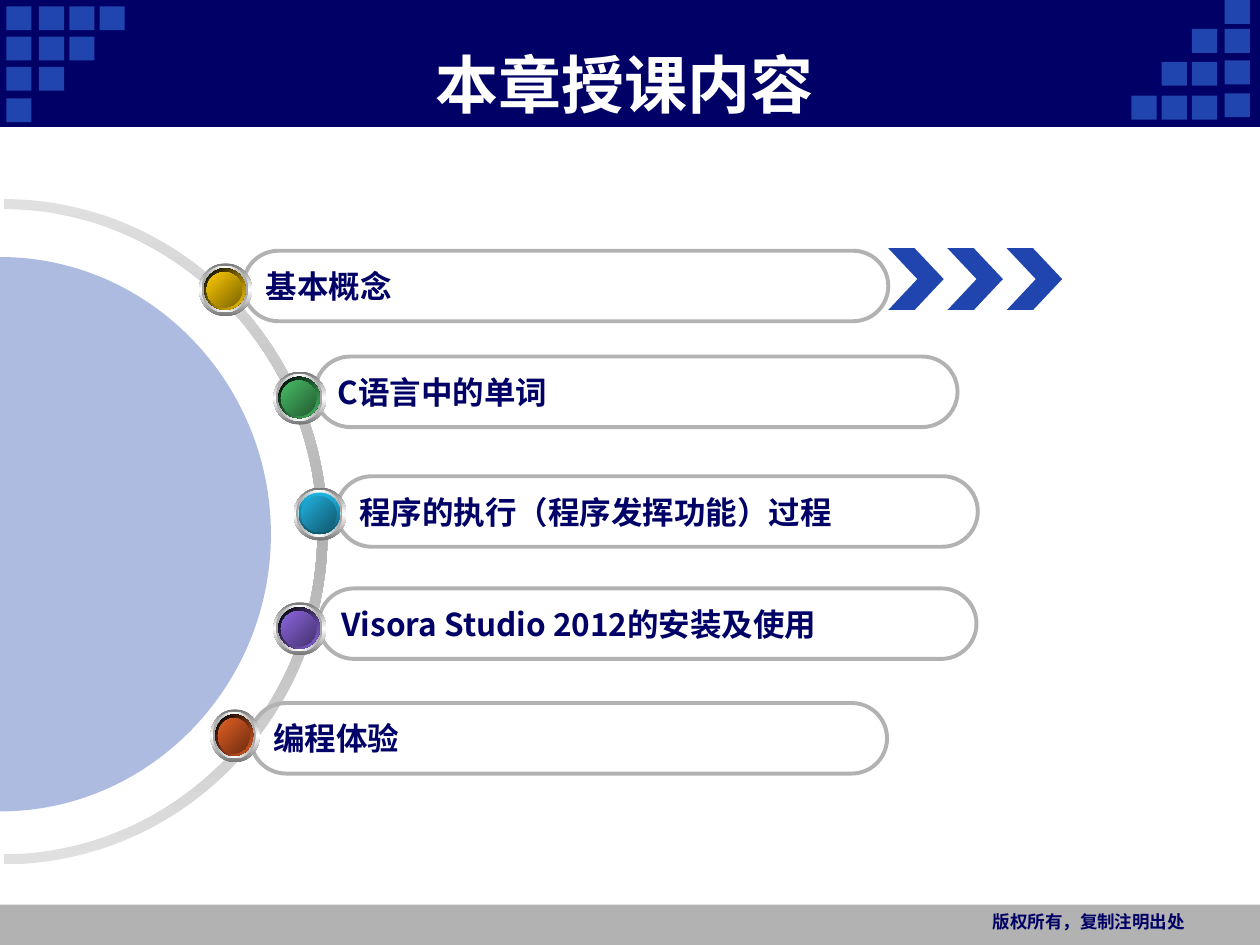
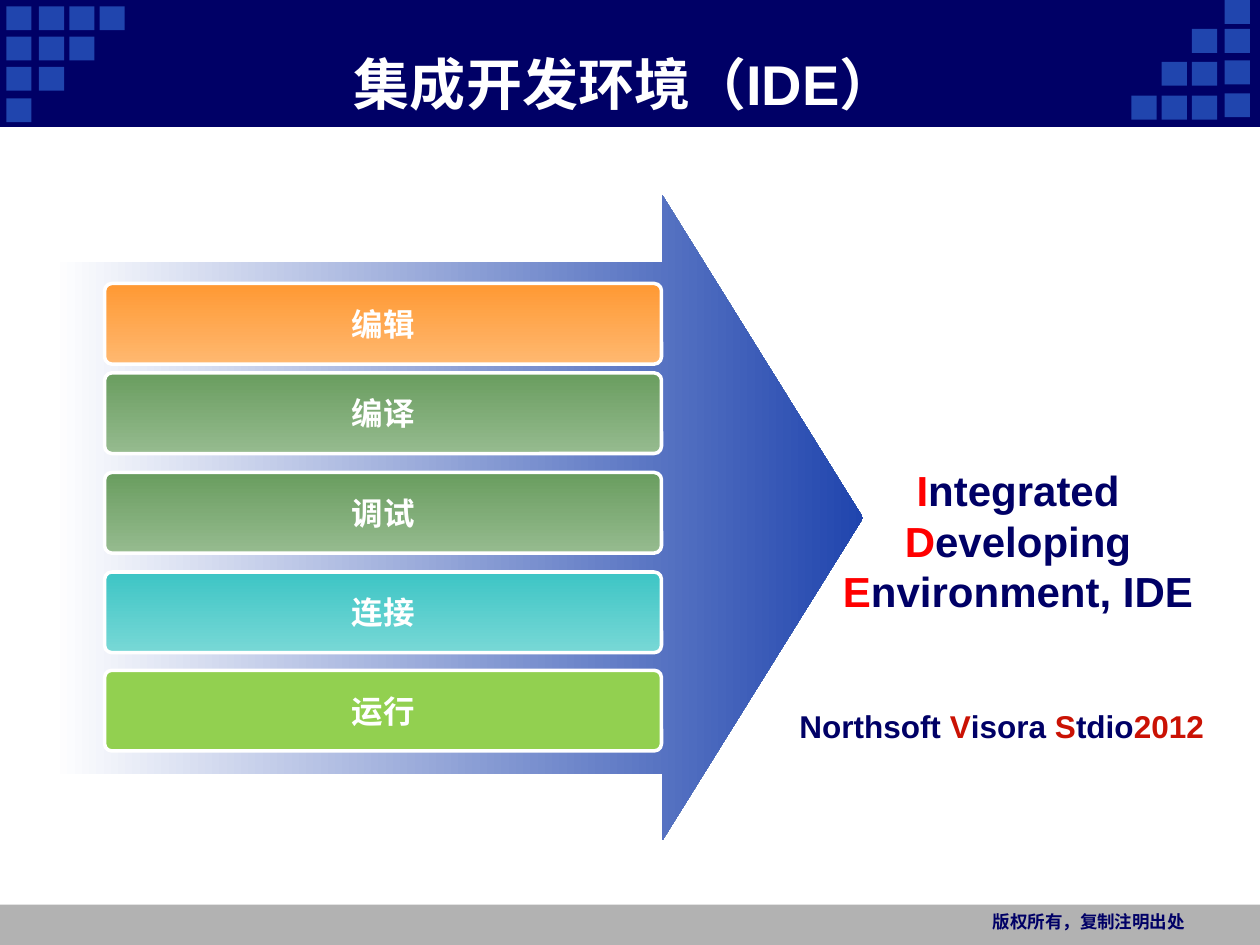
"""Build the chapter outline and development environment slides."""
import pptx
import pptx.dml.color
import pptx.enum.shapes
import pptx.enum.text
import pptx.oxml.ns
import pptx.util
from lxml import etree
from pptx.util import Inches

RGBColor = pptx.dml.color.RGBColor
Shape = pptx.enum.shapes.MSO_SHAPE
Align = pptx.enum.text.PP_ALIGN
Anchor = pptx.enum.text.MSO_ANCHOR
qn = pptx.oxml.ns.qn

NAVY = RGBColor(0x00, 0x00, 0x66)
BLUE = RGBColor(0x20, 0x45, 0xAE)
GREY = RGBColor(0xB2, 0xB2, 0xB2)
PALE_GREY = RGBColor(0xE0, 0xE0, 0xE0)
RIM_DARK = RGBColor(0x76, 0x76, 0x76)
RIM_GREY = RGBColor(0xA2, 0xA2, 0xA2)
WHITE = RGBColor(0xFF, 0xFF, 0xFF)
BLACK = RGBColor(0x00, 0x00, 0x00)
RED = RGBColor(0xFF, 0x00, 0x00)
DARK_RED = RGBColor(0xCA, 0x12, 0x04)
TEAL = RGBColor(0x3D, 0xC5, 0xC5)
DARK_TEAL = RGBColor(0x2F, 0x97, 0x97)
LIGHT_TEAL = RGBColor(0x78, 0xD8, 0xD6)
YELLOW, DARK_YELLOW = RGBColor(0xFF, 0xCC, 0x00), RGBColor(0x7C, 0x63, 0x00)
GREEN, DARK_GREEN = RGBColor(0x48, 0xBE, 0x67), RGBColor(0x23, 0x5C, 0x32)
CYAN, DARK_CYAN = RGBColor(0x21, 0xB3, 0xE1), RGBColor(0x10, 0x57, 0x6D)
VIOLET, DARK_VIOLET = RGBColor(0x8D, 0x67, 0xE1), RGBColor(0x45, 0x32, 0x6D)
RUST, DARK_RUST = RGBColor(0xE3, 0x5E, 0x23), RGBColor(0x6E, 0x2E, 0x11)
ORANGE, LIGHT_ORANGE = RGBColor(0xFF, 0x99, 0x33), RGBColor(0xFF, 0xB8, 0x70)
MOSS, LIGHT_MOSS = RGBColor(0x69, 0x9D, 0x5F), RGBColor(0x96, 0xBB, 0x8F)
LIME = RGBColor(0x92, 0xD0, 0x50)

LATIN, CHINESE = "Arial", "Noto Sans CJK SC"
COPYRIGHT = "版权所有，复制注明出处"
SQUARE_COLUMNS = [
    (0.05, (0.05, 0.29, 0.53, 0.78)),
    (0.31, (0.05, 0.29, 0.53)),
    (0.55, (0.05, 0.29)),
    (0.79, (0.05,)),
    (9.72, (0.74, 0.48, 0.23, 0)),
    (9.46, (0.76, 0.49, 0.23)),
    (9.22, (0.76, 0.49)),
    (8.98, (0.76,)),
]

OUTLINE_TITLE = "本章授课内容"
TOPICS = [
    {"text": "基本概念", "pill": (1.93, 1.99, 5.12), "font": CHINESE,
     "knob": (1.58, 2.09, 0.42), "rim": (BLACK, YELLOW), "rim_angle": 45,
     "face": (YELLOW, DARK_YELLOW)},
    {"text": "C语言中的单词", "pill": (2.5, 2.83, 5.1), "font": CHINESE,
     "knob": (2.17, 2.95, 0.42), "rim": (BLACK, GREEN), "rim_angle": 45,
     "face": (GREEN, DARK_GREEN)},
    {"text": "程序的执行（程序发挥功能）过程", "pill": (2.67, 3.78, 5.09), "font": CHINESE,
     "knob": (2.33, 3.87, 0.42), "rim": (CYAN, DARK_CYAN), "rim_angle": 90,
     "face": (CYAN, DARK_CYAN)},
    {"text": "Visora Studio 2012的安装及使用", "pill": (2.53, 4.67, 5.22), "font": CHINESE,
     "knob": (2.17, 4.78, 0.42), "rim": (BLACK, VIOLET), "rim_angle": 45,
     "face": (VIOLET, DARK_VIOLET)},
    {"text": "编程体验", "pill": (1.99, 5.58, 5.05), "font": LATIN,
     "knob": (1.67, 5.63, 0.39), "rim": (BLACK, RUST), "rim_angle": 45,
     "face": (RUST, DARK_RUST)},
]

IDE_TITLE = "集成开发环境（IDE）"
STEPS = [
    ("编辑", 2.25, (ORANGE, LIGHT_ORANGE)),
    ("编译", 2.96, (MOSS, LIGHT_MOSS)),
    ("调试", 3.75, (MOSS, LIGHT_MOSS)),
    ("连接", 4.54, (TEAL, LIGHT_TEAL)),
    ("运行", 5.32, (LIME,)),
]
IDE_NAME = [("I", RED), ("ntegrated ", NAVY), ("D", RED), ("eveloping ", NAVY),
            ("E", RED), ("nvironment, IDE", NAVY)]
PRODUCT = [("Northsoft ", NAVY), ("V", DARK_RED), ("isora ", NAVY),
           ("S", DARK_RED), ("tdio", NAVY), ("2012", DARK_RED)]


def paint(shape, colours=(), angle=0, line=None, line_width=0.75):
    """Fill with nothing, one colour or an even gradient, and set the outline."""
    shape.shadow.inherit = False
    if not colours:
        shape.fill.background()
    elif len(colours) == 1:
        shape.fill.solid()
        shape.fill.fore_color.rgb = colours[0]
    else:
        shape.fill.gradient()
        shape.fill.gradient_angle = -angle % 360
        stops = shape.element.spPr.find(qn("a:gradFill")).find(qn("a:gsLst"))
        for stop in list(stops):
            stops.remove(stop)
        for index, colour in enumerate(colours):
            position = 100000 * index // (len(colours) - 1)
            stop = etree.SubElement(stops, qn("a:gs"), pos=str(position))
            etree.SubElement(stop, qn("a:srgbClr"), val=str(colour))
    if line is None:
        shape.line.fill.background()
    else:
        shape.line.color.rgb = line
        shape.line.width = pptx.util.Pt(line_width)
    return shape


def draw(slide, kind, box, *look, adjustments=(), **outline):
    """Add a painted preset shape."""
    shape = slide.shapes.add_shape(kind, *map(Inches, box))
    for index, value in enumerate(adjustments):
        shape.adjustments[index] = value
    return paint(shape, *look, **outline)


def write(shape, pieces, size, align=Align.CENTER, anchor=Anchor.MIDDLE, font=LATIN):
    """Write one bold paragraph of (text, colour) pieces."""
    frame = shape.text_frame
    frame.word_wrap = True
    frame.vertical_anchor = anchor
    paragraph = frame.paragraphs[0]
    paragraph.alignment = align
    for text, colour in pieces:
        run = paragraph.add_run()
        run.text = text
        run.font.size = pptx.util.Pt(size)
        run.font.bold = True
        run.font.color.rgb = colour
        run.font.name = font
        etree.SubElement(run.font._element, qn("a:ea"), typeface=CHINESE)


def text_box(slide, box):
    return slide.shapes.add_textbox(*map(Inches, box))


def start_slide(deck, title, title_size):
    """Add a slide with the shared bands, corner squares, title and footer."""
    slide = deck.slides.add_slide(deck.slide_layouts[6])
    draw(slide, Shape.RECTANGLE, (0, 7.18, 10, 0.33), (GREY,))
    draw(slide, Shape.RECTANGLE, (0, 0, 10, 1), (NAVY,), line=NAVY)
    for left, tops in SQUARE_COLUMNS:
        for top in tops:
            draw(slide, Shape.RECTANGLE, (left, top, 0.2, 0.19), (BLUE,))
    write(text_box(slide, (7.6, 7.18, 1.9, 0.32)), [(COPYRIGHT, NAVY)], 10,
          Align.RIGHT, Anchor.TOP)
    write(text_box(slide, (0.92, 0.35, 8.08, 0.62)), [(title, WHITE)], title_size)
    return slide


def half_ellipse(centre_x, centre_y, radius_x, radius_y):
    """Return the Bezier points of a right half ellipse from top to bottom."""
    handle = 0.55
    units = [(0, -1), (handle, -1), (1, -handle), (1, 0), (1, handle), (handle, 1), (0, 1)]
    return [(Inches(centre_x + radius_x * x), Inches(centre_y + radius_y * y))
            for x, y in units]


def draw_curves(slide, *halves):
    """Join half ellipses into one closed outline with true curves."""
    points = [point for half in halves for point in half]
    builder = slide.shapes.build_freeform(*points[0])
    builder.add_line_segments(points[1:], close=True)
    shape = builder.convert_to_shape()
    outline = next(shape.element.iter(qn("a:moveTo"))).getparent()
    segments = list(outline)[:len(points)]
    for start in range(0, len(points), 7):
        for first in (start + 1, start + 4):
            curve = etree.Element(qn("a:cubicBezTo"))
            segments[first].addprevious(curve)
            for segment in segments[first:first + 3]:
                curve.append(segment[0])
                outline.remove(segment)
    return shape


def draw_knob(slide, topic):
    left, top, width = topic["knob"]
    layers = [
        (0, 0, 0, (RIM_DARK, WHITE, RIM_DARK), 90),
        (0.02, 0.02, 0.05, (RIM_GREY, WHITE, RIM_GREY), 0),
        (0.04, 0.04, 0.09, (WHITE, TEAL, WHITE), 45),
        (0.04, 0.04, 0.09, topic["rim"], topic["rim_angle"]),
        (0.06, 0.07, 0.14, (DARK_TEAL, TEAL, DARK_TEAL), 315),
        (0.06, 0.07, 0.14, topic["face"], 45),
    ]
    for right, down, shrink, colours, angle in layers:
        box = (left + right, top + down, width - shrink, 0.42 - shrink)
        draw(slide, Shape.OVAL, box, colours, angle)


def build_outline(deck):
    slide = start_slide(deck, OUTLINE_TITLE, 36)
    ring = draw_curves(slide, half_ellipse(0.03, 4.22, 2.57, 2.64),
                       half_ellipse(0.03, 4.22, 2.49, 2.56)[::-1])
    paint(ring, (PALE_GREY, GREY, PALE_GREY), 90)
    disc = paint(draw_curves(slide, half_ellipse(0, 4.24, 2.15, 2.2)), (BLUE,))
    disc_colour = disc.element.spPr.find(qn("a:solidFill"))[0]
    etree.SubElement(disc_colour, qn("a:alpha"), val="36000")
    for topic in reversed(TOPICS):
        pill = draw(slide, Shape.ROUNDED_RECTANGLE, (*topic["pill"], 0.56),
                    adjustments=[0.5], line=GREY, line_width=2.25)
        write(pill, [(topic["text"], NAVY)], 18, Align.LEFT, font=topic["font"])
    for topic in TOPICS:
        draw_knob(slide, topic)
    for index in range(3):
        draw(slide, Shape.CHEVRON, (7.05 + 0.47 * index, 1.97, 0.44, 0.49), (BLUE,),
             adjustments=[0.525])


def build_ide(deck):
    slide = start_slide(deck, IDE_TITLE, 32)
    draw(slide, Shape.RIGHT_ARROW, (0.42, 1.55, 6.43, 5.12), (WHITE, BLUE),
         adjustments=[0.793, 0.311])
    for text, top, colours in STEPS:
        step = draw(slide, Shape.ROUNDED_RECTANGLE, (0.83, top, 4.42, 0.64), colours, 90,
                    adjustments=[0.09], line=WHITE, line_width=2)
        write(step, [(text, WHITE)], 18)
    name = draw(slide, Shape.ROUNDED_RECTANGLE, (6.43, 3.58, 3.3, 1.42), adjustments=[0.09])
    write(name, IDE_NAME, 24)
    write(text_box(slide, (6.18, 5.56, 3.54, 0.4)), PRODUCT, 18, anchor=Anchor.TOP)


def main():
    deck = pptx.Presentation()
    deck.slide_width, deck.slide_height = Inches(10), Inches(7.5)
    build_outline(deck)
    build_ide(deck)
    deck.save("out.pptx")


if __name__ == "__main__":
    main()
